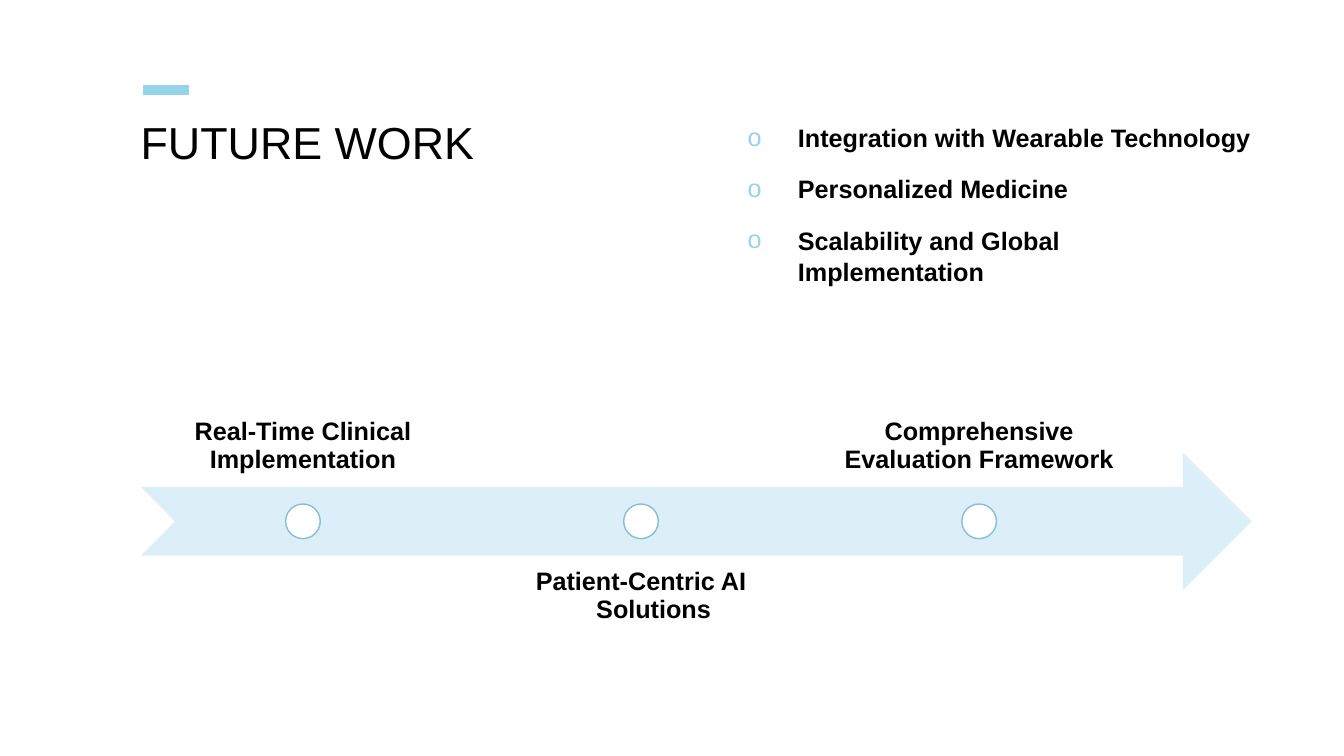
"""Build the Future Work slide: a title, a bullet list and a milestone arrow."""
from dataclasses import dataclass

from lxml import etree
from pptx import Presentation
from pptx import util as u
from pptx.dml.color import RGBColor
from pptx.enum import shapes, text
from pptx.oxml.ns import qn
from pptx.shapes.autoshape import Shape
from pptx.slide import Slide

EMU_PER_PX = 9525


@dataclass(frozen=True)
class Theme:
    font: str = "Arial"
    ink: str = "000000"
    paper: str = "FFFFFF"
    accent: str = "96D3ED"
    arrow: str = "DCEFF8"
    ring: str = "87BED6"
    title_size: int = 32
    body_size: int = 18


@dataclass(frozen=True)
class Box:
    left: int
    top: int
    width: int
    height: int


@dataclass(frozen=True)
class Milestone:
    label: str
    width: int
    above: bool = True
    hanging: int = 0


THEME = Theme()
SLIDE_WIDTH, SLIDE_HEIGHT = 1280, 720
TITLE_BOX = Box(134, 115, 528, 192)
BULLETS_BOX = Box(712, 115, 480, 192)
ARROW_BOX = Box(134, 431, 1058, 131)
BULLET_INDENT = 48
FIRST_CENTER, CENTER_STEP = 288, 322
DOT_SIZE, DOT_TOP = 33, 480
LABEL_HEIGHT, LABEL_INSET = 131, 13
LABEL_TOP_ABOVE, LABEL_TOP_BELOW = 333, 529
BULLETS = (
    "Integration with Wearable Technology",
    "Personalized Medicine",
    "Scalability and Global Implementation",
)
MILESTONES = (
    Milestone("Real-Time Clinical Implementation", 233),
    Milestone("Patient-Centric AI Solutions", 307, above=False, hanging=24),
    Milestone("Comprehensive Evaluation Framework", 307),
)


def px(length: int) -> u.Emu:
    return u.Emu(length * EMU_PER_PX)


def place(box: Box) -> tuple[u.Emu, u.Emu, u.Emu, u.Emu]:
    return px(box.left), px(box.top), px(box.width), px(box.height)


def rgb(color: str) -> RGBColor:
    return RGBColor.from_string(color)


def set_hanging(paragraph, indent: int) -> None:
    properties = paragraph._p.get_or_add_pPr()
    properties.set("marL", str(px(indent)))
    properties.set("indent", str(-px(indent)))


def set_bullet(paragraph) -> None:
    properties = paragraph._p.get_or_add_pPr()
    color = etree.SubElement(properties, qn("a:buClr"))
    etree.SubElement(color, qn("a:srgbClr"), val=THEME.accent)
    etree.SubElement(properties, qn("a:buFont"), typeface=THEME.font)
    etree.SubElement(properties, qn("a:buChar"), char="o")


def add_text(slide: Slide, box: Box, lines: tuple[str, ...], size: int,
             bold: bool = True, spacing: float = 0.9, inset: int = 0) -> Shape:
    shape = slide.shapes.add_textbox(*place(box))
    frame = shape.text_frame
    frame.word_wrap = True
    frame.margin_left = frame.margin_right = px(inset)
    frame.margin_top = frame.margin_bottom = px(inset)
    frame.text = "\n".join(lines)
    for paragraph in frame.paragraphs:
        paragraph.line_spacing = spacing
        paragraph.font.name = THEME.font
        paragraph.font.size = u.Pt(size)
        paragraph.font.bold = bold
        paragraph.font.color.rgb = rgb(THEME.ink)
    return shape


def add_filled(slide: Slide, kind: shapes.MSO_SHAPE, box: Box, fill: str) -> Shape:
    shape = slide.shapes.add_shape(kind, *place(box))
    shape.shadow.inherit = False
    shape.fill.solid()
    shape.fill.fore_color.rgb = rgb(fill)
    shape.line.fill.background()
    return shape


def add_accent(slide: Slide) -> None:
    accent = slide.shapes.add_connector(
        shapes.MSO_CONNECTOR.STRAIGHT, px(136), px(86), px(180), px(86))
    accent.line.color.rgb = rgb(THEME.accent)
    accent.line.width = u.Pt(7)
    etree.SubElement(accent._element.spPr, qn("a:effectLst"))


def add_bullets(slide: Slide) -> None:
    shape = add_text(slide, BULLETS_BOX, BULLETS, THEME.body_size, spacing=1.05)
    for index, paragraph in enumerate(shape.text_frame.paragraphs):
        paragraph.space_before = u.Pt(14 if index else 0)
        set_hanging(paragraph, BULLET_INDENT)
        set_bullet(paragraph)


def add_milestone(slide: Slide, milestone: Milestone, center: int) -> None:
    top = LABEL_TOP_ABOVE if milestone.above else LABEL_TOP_BELOW
    box = Box(center - milestone.width // 2, top, milestone.width, LABEL_HEIGHT)
    label = add_text(slide, box, (milestone.label,), THEME.body_size, inset=LABEL_INSET)
    anchor = text.MSO_ANCHOR.BOTTOM if milestone.above else text.MSO_ANCHOR.TOP
    label.text_frame.vertical_anchor = anchor
    paragraph = label.text_frame.paragraphs[0]
    paragraph.alignment = text.PP_ALIGN.CENTER
    if milestone.hanging:
        set_hanging(paragraph, milestone.hanging)
    dot_box = Box(center - DOT_SIZE // 2, DOT_TOP, DOT_SIZE, DOT_SIZE)
    dot = add_filled(slide, shapes.MSO_SHAPE.OVAL, dot_box, THEME.paper)
    dot.line.color.rgb = rgb(THEME.ring)
    dot.line.width = u.Pt(1)


def main() -> None:
    presentation = Presentation()
    presentation.slide_width = px(SLIDE_WIDTH)
    presentation.slide_height = px(SLIDE_HEIGHT)
    slide = presentation.slides.add_slide(presentation.slide_layouts[6])
    add_accent(slide)
    add_text(slide, TITLE_BOX, ("FUTURE WORK",), THEME.title_size, bold=False)
    add_bullets(slide)
    add_filled(slide, shapes.MSO_SHAPE.NOTCHED_RIGHT_ARROW, ARROW_BOX, THEME.arrow)
    for index, milestone in enumerate(MILESTONES):
        add_milestone(slide, milestone, FIRST_CENTER + index * CENTER_STEP)
    presentation.save("out.pptx")


if __name__ == "__main__":
    main()
